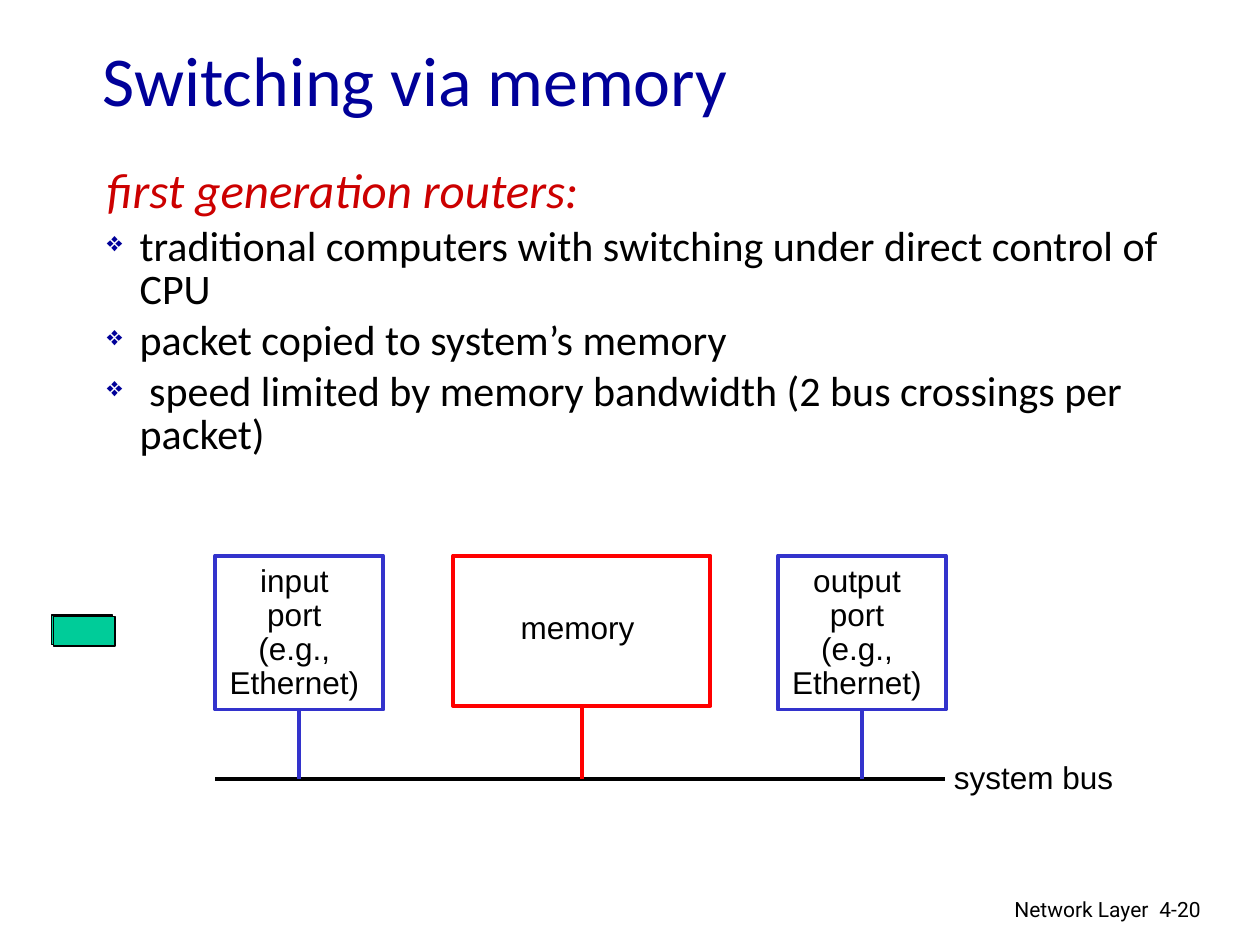
from lxml import etree
from pptx import Presentation
from pptx.dml.color import RGBColor
from pptx.enum import shapes, text
from pptx.oxml.ns import qn
from pptx.util import Pt

NAVY, RED, BLUE, BLACK = "000099", "FF0000", "3333CC", "000000"
WHITE, GREEN, CRIMSON = "FFFFFF", "00CC99", "CC0000"


def color(value):
    return RGBColor.from_string(value)


def add_run(paragraph, words, font, size, ink=BLACK, italic=False):
    run = paragraph.add_run()
    run.text = words
    run.font.name, run.font.size = font, Pt(size)
    run.font.italic = italic
    run.font.color.rgb = color(ink)


def add_label(slide, box, lines, font="Arial", size=18, align=text.PP_ALIGN.LEFT,
              spacing=None, wrap=False):
    frame = slide.shapes.add_textbox(*map(Pt, box)).text_frame
    frame.word_wrap = wrap
    if not wrap:
        frame.auto_size = text.MSO_AUTO_SIZE.SHAPE_TO_FIT_TEXT
    for i, line in enumerate(lines):
        paragraph = frame.paragraphs[0] if i == 0 else frame.add_paragraph()
        paragraph.alignment = align
        paragraph.line_spacing = spacing
        add_run(paragraph, line, font, size)


def add_box(slide, box, outline, width, fill=None):
    rect = slide.shapes.add_shape(shapes.MSO_SHAPE.RECTANGLE, *map(Pt, box))
    rect.shadow.inherit = False
    if fill:
        rect.fill.solid()
        rect.fill.fore_color.rgb = color(fill)
    else:
        rect.fill.background()
    rect.line.color.rgb = color(outline)
    rect.line.width = Pt(width)
    return rect


def add_line(slide, start, end, ink):
    line = slide.shapes.add_connector(
        shapes.MSO_CONNECTOR.STRAIGHT, *map(Pt, (*start, *end)))
    line.line.color.rgb = color(ink)
    line.line.width = Pt(2.25)
    etree.SubElement(line._element.spPr, qn("a:effectLst"))
    return line


def add_bullet(paragraph):
    props = paragraph._p.get_or_add_pPr()
    tint = etree.SubElement(props, qn("a:buClr"))
    etree.SubElement(tint, qn("a:srgbClr"), val=NAVY)
    etree.SubElement(props, qn("a:buSzPct"), val="65000")
    etree.SubElement(props, qn("a:buChar"), char="❖")


def add_title(slide, box, words):
    title = slide.shapes.title
    title.left, title.top, title.width, title.height = map(Pt, box)
    frame = title.text_frame
    frame.vertical_anchor = text.MSO_ANCHOR.MIDDLE
    frame.paragraphs[0].alignment = text.PP_ALIGN.LEFT
    add_run(frame.paragraphs[0], words, "Calibri", 40, NAVY)


def add_points(slide, box, heading, points):
    frame = slide.shapes.add_textbox(*map(Pt, box)).text_frame
    frame.word_wrap = True
    lead = frame.paragraphs[0]
    lead.line_spacing = 0.85
    add_run(lead, heading, "Calibri", 28, CRIMSON, italic=True)
    for point in points:
        paragraph = frame.add_paragraph()
        paragraph.line_spacing = 0.85
        paragraph.space_before = Pt(4.8)
        props = paragraph._p.get_or_add_pPr()
        props.set("marL", str(Pt(18.75)))
        props.set("indent", str(-Pt(18.75)))
        add_bullet(paragraph)
        add_run(paragraph, point, "Calibri", 24)


def add_bus_diagram(slide, box):
    left, top, width, height = box
    bus_y = top + height
    port_width, port_height = 96, 88
    memory_width, memory_height = 147, 86
    centre = text.PP_ALIGN.CENTER

    # Ports at both ends of the bus
    units = []
    for x, name in ((left, "input"), (left + width - port_width + 0.5, "output")):
        port = add_box(slide, (x, top, port_width, port_height), BLUE, 2.25, WHITE)
        add_label(slide, (x + 1, top + 2, 88.5, 85),
                  [name, "port", "(e.g.,", "Ethernet)"], align=centre, spacing=0.9)
        units.append((port, x + port_width / 2, top + port_height, BLUE))

    # Memory between them
    x = left + 136
    add_label(slide, (x + 26, top + 29, 90, 26.5), ["memory"],
              align=centre, spacing=0.9)
    memory = add_box(slide, (x, top, memory_width, memory_height), RED, 2.25)
    units.append((memory, x + memory_width / 2, top + memory_height, RED))

    # System bus and the stem from each unit
    add_line(slide, (left, bus_y), (left + width, bus_y), BLACK)
    for unit, middle, bottom, ink in units:
        stem = add_line(slide, (middle, bottom), (middle, bus_y), ink)
        stem.begin_connect(unit, 2)
    add_label(slide, (left + width - 2, bus_y - 15.5, 106, 29), ["system bus"])


def add_packet(slide, box):
    left, top, width, height = box
    for shift in (0, 1.25):
        add_box(slide, (left + shift, top + shift / 2, width, height),
                BLACK, 0.75, GREEN)


def add_footer(slide, box, chapter, number):
    left, top, width, height = box
    number_width = 53
    add_label(slide, (left, top, width - number_width + 8, height), [chapter],
              "Roboto", 12, text.PP_ALIGN.RIGHT, wrap=True)
    add_label(slide, (left + width - number_width, top, number_width, height),
              [number], "Roboto", 12, wrap=True)


def main():
    deck = Presentation()
    deck.slide_width, deck.slide_height = Pt(720), Pt(540)
    slide = deck.slides.add_slide(deck.slide_layouts[5])
    add_footer(slide, (435.5, 509, 273, 22), "Network Layer", "4-20")
    add_title(slide, (51.5, 21, 612, 48), "Switching via memory")
    add_points(slide, (54, 93, 618, 84), "first generation routers:", [
        "traditional computers with switching under direct control of CPU",
        "packet copied to system’s memory",
        " speed limited by memory bandwidth (2 bus crossings per packet)",
    ])
    add_bus_diagram(slide, (123, 317.5, 417, 127.5))
    add_packet(slide, (29.5, 351.5, 35, 17))
    deck.save("out.pptx")


if __name__ == "__main__":
    main()
